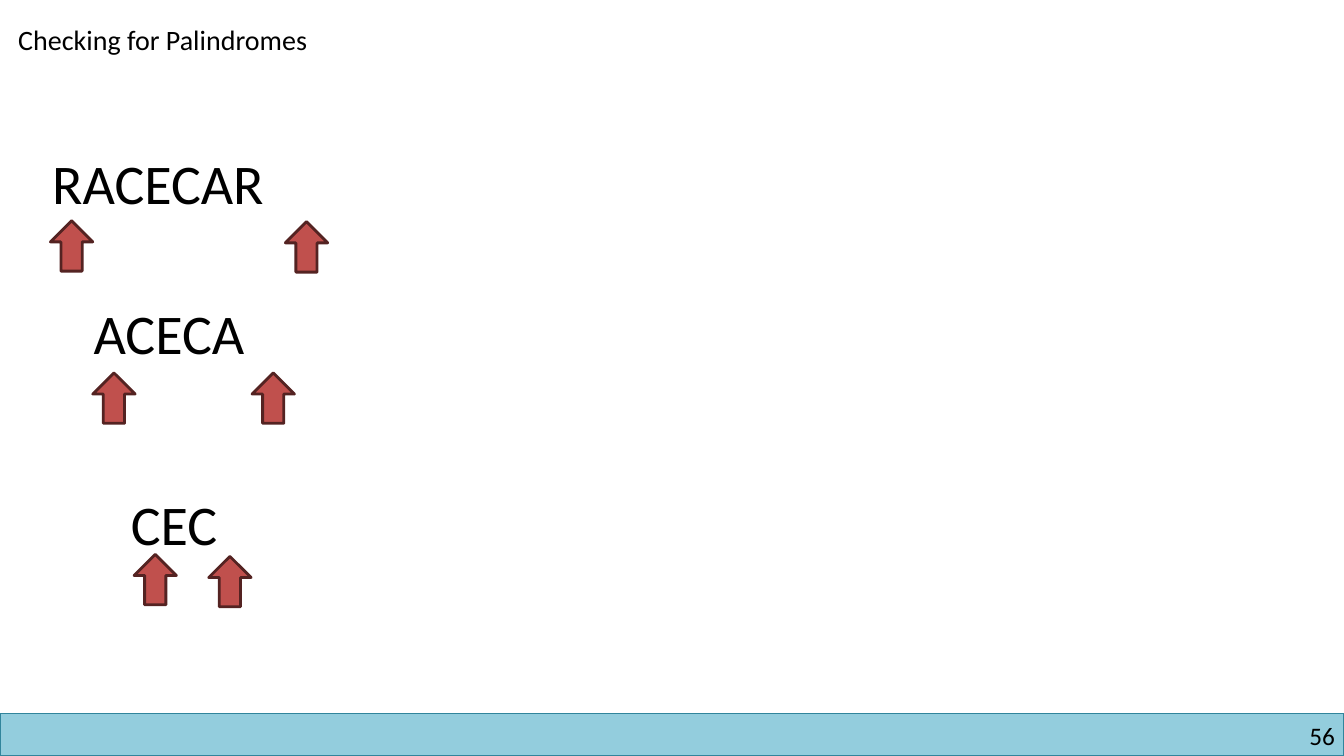
import pptx
import pptx.dml.color
import pptx.enum.shapes
import pptx.enum.text
import pptx.util
from pptx.util import Inches

RGBColor = pptx.dml.color.RGBColor
BLACK = RGBColor(0x00, 0x00, 0x00)
BAND_FILL = RGBColor(0x93, 0xCD, 0xDD)
BAND_LINE = RGBColor(0x31, 0x85, 0x9C)
ARROW_FILL = RGBColor(0xC0, 0x50, 0x4D)
ARROW_LINE = RGBColor(0x54, 0x23, 0x22)
FONT = "Calibri"
ARROW_W, ARROW_H = 0.42, 0.5
SLIDE_W, SLIDE_H = 13.33, 7.5

# word, text box (left, top, width, height), arrow offsets from the box corner
STEPS = [
    ("RACECAR", (0.42, 1.42, 2.94, 0.77), [(0.08, 0.77), (2.41, 0.78)]),
    ("ACECA", (0.83, 2.91, 2.13, 0.77), [(0.09, 0.79), (1.67, 0.79)]),
    ("CEC", (1.2, 4.81, 1.39, 0.77), [(0.13, 0.69), (0.87, 0.71)]),
]


def write(s, text, size, align=pptx.enum.text.PP_ALIGN.LEFT):
    """Write one line of black text at the top of a shape."""
    tf = s.text_frame
    tf.word_wrap = True
    tf.auto_size = pptx.enum.text.MSO_AUTO_SIZE.NONE
    tf.vertical_anchor = pptx.enum.text.MSO_ANCHOR.TOP
    p = tf.paragraphs[0]
    p.alignment = align
    r = p.add_run()
    r.text = text
    r.font.name = FONT
    r.font.size = pptx.util.Pt(size)
    r.font.color.rgb = BLACK
    return tf


def add_block(slide, kind, box, fill, line, weight):
    """Add a filled and outlined preset shape without a shadow."""
    s = slide.shapes.add_shape(kind, *map(Inches, box))
    s.shadow.inherit = False
    s.fill.solid()
    s.fill.fore_color.rgb = fill
    s.line.color.rgb = line
    s.line.width = pptx.util.Pt(weight)


def add_title(slide, text, box):
    """Place the title placeholder in its box and write the title."""
    s = slide.shapes.title
    s.left, s.top, s.width, s.height = map(Inches, box)
    write(s, text, 20)


def add_footer(slide, number, box):
    """Draw the footer band with the slide number at its right end."""
    left, top, width, height = box
    add_block(slide, pptx.enum.shapes.MSO_SHAPE.RECTANGLE, box, BAND_FILL, BAND_LINE, 1)
    number_box = (left + width - 3.16, top + 0.07, 3.07, 0.3)
    s = slide.shapes.add_textbox(*map(Inches, number_box))
    tf = write(s, number, 18, pptx.enum.text.PP_ALIGN.RIGHT)
    tf.margin_left = tf.margin_right = tf.margin_top = tf.margin_bottom = 0


def add_step(slide, word, box, arrow_offsets):
    """Write a word and point arrows at its first and last letters."""
    left, top = box[:2]
    write(slide.shapes.add_textbox(*map(Inches, box)), word, 40)
    for dx, dy in arrow_offsets:
        arrow_box = (left + dx, top + dy, ARROW_W, ARROW_H)
        add_block(slide, pptx.enum.shapes.MSO_SHAPE.UP_ARROW, arrow_box,
                  ARROW_FILL, ARROW_LINE, 2)


def main():
    """Build the palindrome slide and save it."""
    prs = pptx.Presentation()
    prs.slide_width, prs.slide_height = Inches(SLIDE_W), Inches(SLIDE_H)
    slide = prs.slides.add_slide(prs.slide_layouts[5])
    add_footer(slide, "56", (0, 7.08, SLIDE_W, 0.42))
    add_title(slide, "Checking for Palindromes", (0.08, 0.17, 3.41, 0.44))
    for word, box, arrow_offsets in STEPS:
        add_step(slide, word, box, arrow_offsets)
    prs.save("out.pptx")


if __name__ == "__main__":
    main()
